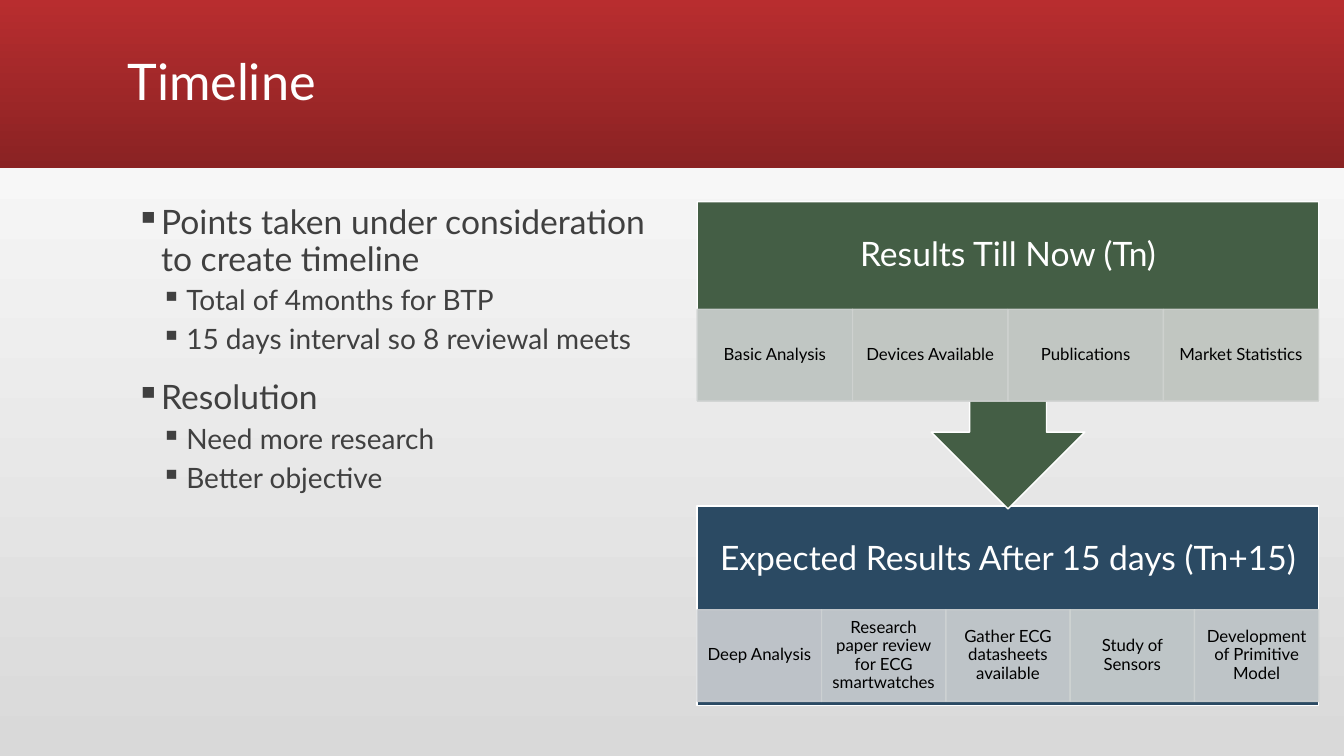
"""Build the Timeline slide: bullet points beside current and expected results."""
from lxml.etree import SubElement
from pptx import Presentation
from pptx.dml.color import RGBColor
from pptx.enum.shapes import MSO_SHAPE as Shape
from pptx.enum.text import MSO_ANCHOR as Anchor, PP_ALIGN as Align
from pptx.oxml.ns import qn
from pptx.util import Pt


def paint(target, color):
    target.rgb = RGBColor.from_string(color)


def write(box, lines, color, anchor, align, insets):
    frame = box.text_frame
    sides = dict(zip(("margin_left", "margin_top", "margin_right", "margin_bottom"), map(Pt, insets)))
    for name, value in {"word_wrap": True, "vertical_anchor": anchor, **sides}.items():
        setattr(frame, name, value)
    for index, (text, size, before, indent) in enumerate(lines):
        para = frame.add_paragraph() if index else frame.paragraphs[0]
        if indent:
            props = para._p.get_or_add_pPr()
            props.set("marL", str(Pt(indent)))
            props.set("indent", str(Pt(-18)))
            SubElement(props, qn("a:buChar")).set("char", "▪")
        layout = {"alignment": align, "line_spacing": 0.9, "space_before": Pt(before if index else 0)}
        for name, value in layout.items():
            setattr(para, name, value)
        span = para.add_run()
        for name, value in {"text": text}.items():
            setattr(span, name, value)
        for name, value in {"name": "Lato", "size": Pt(size)}.items():
            setattr(span.font, name, value)
        paint(span.font.color, color)


deck = Presentation()
deck.slide_width, deck.slide_height = Pt(960), Pt(540)
page = deck.slides.add_slide(deck.slide_layouts[6])
shapes = page.shapes

banner = shapes.add_shape(Shape.RECTANGLE, 0, 0, Pt(960), Pt(120))
banner.shadow.inherit = False
banner.line.fill.background()
gradients = [
    (page.background.fill, 90, ("D9D9D9", "FFFFFF")),
    (banner.fill, 270, ("B82D2F", "8A2223")),
]
for fill, angle, colors in gradients:
    fill.gradient()
    fill.gradient_angle = angle
    for stop, color in zip(fill.gradient_stops, colors):
        paint(stop.color, color)

title = shapes.add_textbox(Pt(84), Pt(8), Pt(792), Pt(104.4))
write(title, [("Timeline", 36, 0, 0)], "FFFFFF", Anchor.MIDDLE, Align.LEFT, (7.2, 3.6, 7.2, 3.6))

points = [
    ("Points taken under consideration to create timeline", ["Total of 4months for BTP", "15 days interval so 8 reviewal meets"]),
    ("Resolution", ["Need more research", "Better objective"]),
]
lines = []
for heading, details in points:
    lines.append((heading, 24, 18, 18))
    lines += [(detail, 20, 6, 36) for detail in details]
body = shapes.add_textbox(Pt(90), Pt(143.5), Pt(378), Pt(360))
write(body, lines, "404040", Anchor.TOP, Align.LEFT, (7.2, 3.6, 7.2, 3.6))

left, width, cell_height = 498, 444, 65.5
panels = [
    (Shape.RECTANGLE, 0, 361.5, 142.5, 435.5, "2B4A63", "Expected Results After 15 days (Tn+15)", [
        ("Deep Analysis", "CDD0D3"),
        ("Research paper review for ECG smartwatches", "CDD1D3"),
        ("Gather ECG datasheets available", "CED2D3"),
        ("Study of Sensors", "CED3D2"),
        ("Development of Primitive Model", "CED2D2"),
    ]),
    (Shape.UP_ARROW_CALLOUT, 180, 144, 219.5, 221, "445E45", "Results Till Now (Tn)", [
        ("Basic Analysis", "CED2D1"),
        ("Devices Available", "CFD2D0"),
        ("Publications", "CFD2D0"),
        ("Market Statistics", "CFD2CF"),
    ]),
]
for kind, rotation, top, height, cell_top, color, heading, cells in panels:
    panel = shapes.add_shape(kind, Pt(left), Pt(top), Pt(width), Pt(height))
    panel.rotation = rotation
    header = shapes.add_textbox(Pt(left), Pt(top), Pt(width), Pt(77))
    write(header, [(heading, 24, 0, 0)], "FFFFFF", Anchor.MIDDLE, Align.CENTER, (13.5,) * 4)
    blocks = [(panel, color, "FFFFFF")]
    cell_width = width / len(cells)
    for column, (label, tint) in enumerate(cells):
        cell = shapes.add_shape(Shape.RECTANGLE, Pt(left + column * cell_width), Pt(cell_top), Pt(cell_width), Pt(cell_height))
        write(cell, [(label, 12, 0, 0)], "000000", Anchor.MIDDLE, Align.CENTER, (6.5, 1.2, 6.5, 1.2))
        blocks.append((cell, tint, tint))
    for block, fill_color, line_color in blocks:
        block.shadow.inherit = False
        block.fill.solid()
        paint(block.fill.fore_color, fill_color)
        paint(block.line.color, line_color)
        block.line.width = Pt(1)
        if block is not panel:
            for tone in block.element.spPr.iter(qn("a:srgbClr")):
                SubElement(tone, qn("a:alpha")).set("val", "90000")

deck.save("out.pptx")
